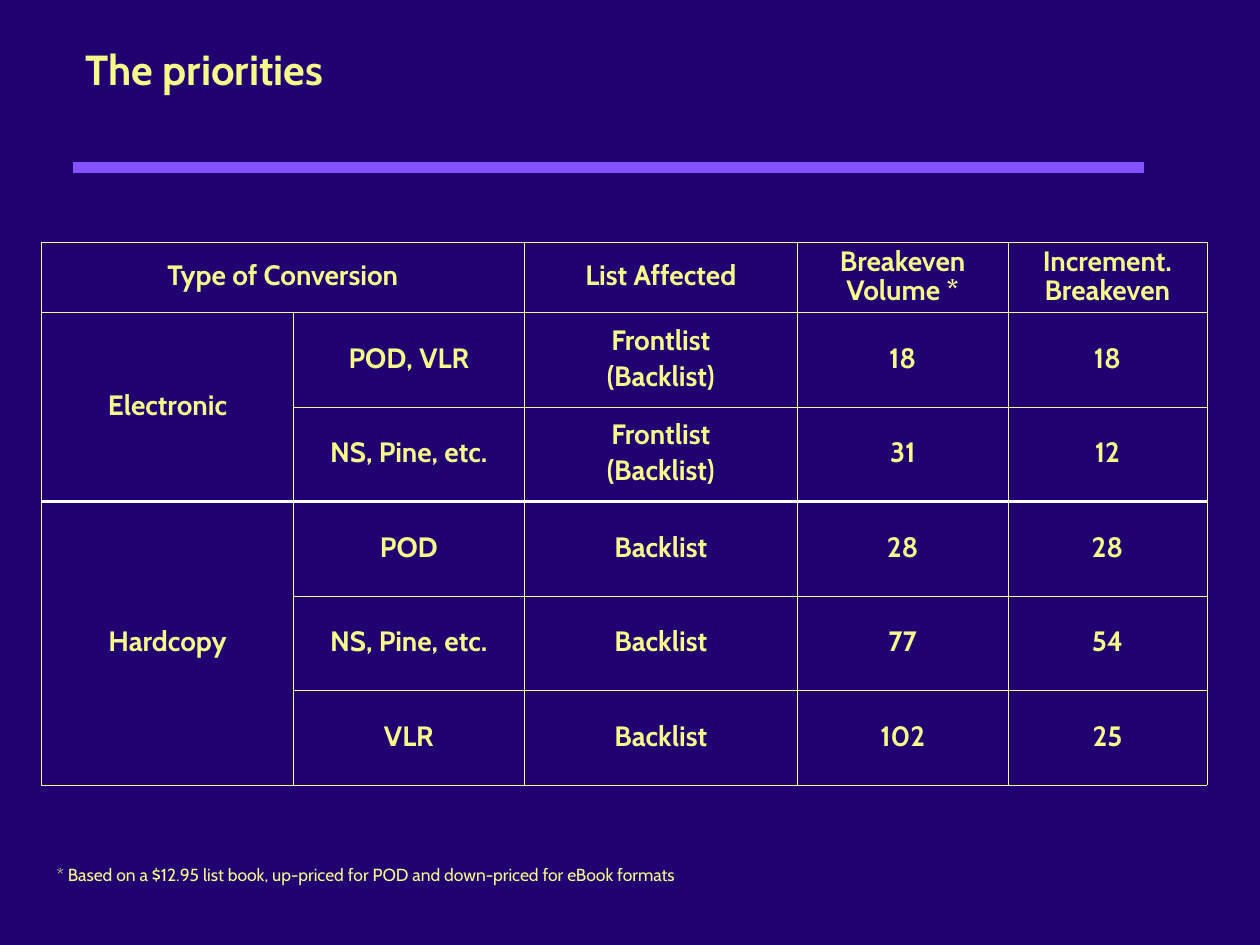
from lxml import etree
from pptx import Presentation
from pptx.dml.color import RGBColor
from pptx.enum.shapes import MSO_CONNECTOR
from pptx.enum.text import MSO_ANCHOR, MSO_AUTO_SIZE, PP_ALIGN
from pptx.oxml.ns import qn
from pptx.util import Inches, Pt

LEFT, CENTER = PP_ALIGN.LEFT, PP_ALIGN.CENTER
MIDDLE = MSO_ANCHOR.MIDDLE
NO_FIT, GROW = MSO_AUTO_SIZE.NONE, MSO_AUTO_SIZE.SHAPE_TO_FIT_TEXT
STRAIGHT = MSO_CONNECTOR.STRAIGHT

NAVY, YELLOW, VIOLET, WHITE = "210072", "F5FA8A", "8453FF", "FFFFFF"
TITLE_PARA = {"alignment": LEFT, "line_spacing": 0.8}
CELL_PARA = {"alignment": CENTER, "line_spacing": 0.85, "space_before": Pt(4)}
NOTE_PARA = {"alignment": LEFT}

COLS = [2, 1.83, 2.17, 1.67, 1.58]
ROWS = [0.56] + [0.75] * 5
CELLS = [
    ["Type of Conversion", "", "List Affected", "Breakeven Volume *", "Increment. Breakeven"],
    ["Electronic", "POD, VLR", "Frontlist\n(Backlist)", "18", "18"],
    ["", "NS, Pine, etc.", "Frontlist\n(Backlist)", "31", "12"],
    ["Hardcopy", "POD", "Backlist", "28", "28"],
    ["", "NS, Pine, etc.", "Backlist", "77", "54"],
    ["", "VLR", "Backlist", "102", "25"],
]
MERGES = [((0, 0), (0, 1)), ((1, 0), (2, 0)), ((3, 0), (5, 0))]
LAST_ELECTRONIC_ROW = 2


def rgb(color):
    return RGBColor.from_string(color)


def write(tf, text, size, bold, para):
    tf.text = text
    for p in tf.paragraphs:
        for name, value in para.items():
            setattr(p, name, value)
        font = {"name": "Cabin", "size": Pt(size), "bold": bold}
        for r in p.runs:
            for name, value in font.items():
                setattr(r.font, name, value)
            r.font.color.rgb = rgb(YELLOW)


def set_border(cell, index, side, color, width):
    ln = etree.Element(qn(f"a:ln{side}"), w=str(Pt(width)))
    fill = etree.SubElement(ln, qn("a:solidFill"))
    etree.SubElement(fill, qn("a:srgbClr"), val=color)
    cell._tc.get_or_add_tcPr().insert(index, ln)


def add_title(s, left, top, width, height):
    sp = s.shapes.title
    box = {"left": left, "top": top, "width": width, "height": height}
    for name, value in box.items():
        setattr(sp, name, Inches(value))
    tf = sp.text_frame
    tf.auto_size = NO_FIT
    tf.vertical_anchor = MIDDLE
    write(tf, "The priorities", 24, True, TITLE_PARA)


def add_rule(s, left, top, width):
    ends = [Inches(v) for v in (left, top, left + width, top)]
    line = s.shapes.add_connector(STRAIGHT, *ends)
    line.line.color.rgb = rgb(VIOLET)
    line.line.width = Pt(6)
    etree.SubElement(line._element.spPr, qn("a:effectLst"))


def add_priorities(s, left, top):
    box = [Inches(v) for v in (left, top, sum(COLS), sum(ROWS))]
    table = s.shapes.add_table(len(ROWS), len(COLS), *box).table
    table.first_row = table.horz_banding = False
    for column, width in zip(table.columns, COLS):
        column.width = Inches(width)
    for row, height in zip(table.rows, ROWS):
        row.height = Inches(height)
    for first, last in MERGES:
        table.cell(*first).merge(table.cell(*last))
    for i, texts in enumerate(CELLS):
        for j, text in enumerate(texts):
            cell = table.cell(i, j)
            cell.fill.background()
            cell.vertical_anchor = MIDDLE
            if text:
                write(cell.text_frame, text, 16, True, CELL_PARA)
            bottom_row = i + cell.span_height - 1 if cell.is_merge_origin else i
            divided = {"T": i == LAST_ELECTRONIC_ROW + 1,
                       "B": bottom_row == LAST_ELECTRONIC_ROW}
            for index, side in enumerate("LRTB"):
                style = (WHITE, 1.47) if divided.get(side) else (YELLOW, 0.45)
                set_border(cell, index, side, *style)


def add_footnote(s, left, top, width, height):
    box = [Inches(v) for v in (left, top, width, height)]
    tf = s.shapes.add_textbox(*box).text_frame
    tf.word_wrap = False
    tf.auto_size = GROW
    text = "* Based on a $12.95 list book, up-priced for POD and down-priced for eBook formats"
    write(tf, text, 10, False, NOTE_PARA)


def main():
    prs = Presentation()
    prs.slide_width, prs.slide_height = Inches(10), Inches(7.5)
    s = prs.slides.add_slide(prs.slide_layouts[5])
    s.background.fill.solid()
    s.background.fill.fore_color.rgb = rgb(NAVY)
    add_rule(s, 0.58, 1.33, 8.5)
    add_title(s, 0.58, 0, 8.5, 1.17)
    add_priorities(s, 0.33, 1.92)
    add_footnote(s, 0.35, 6.81, 5.68, 0.27)
    prs.save("out.pptx")


if __name__ == "__main__":
    main()
